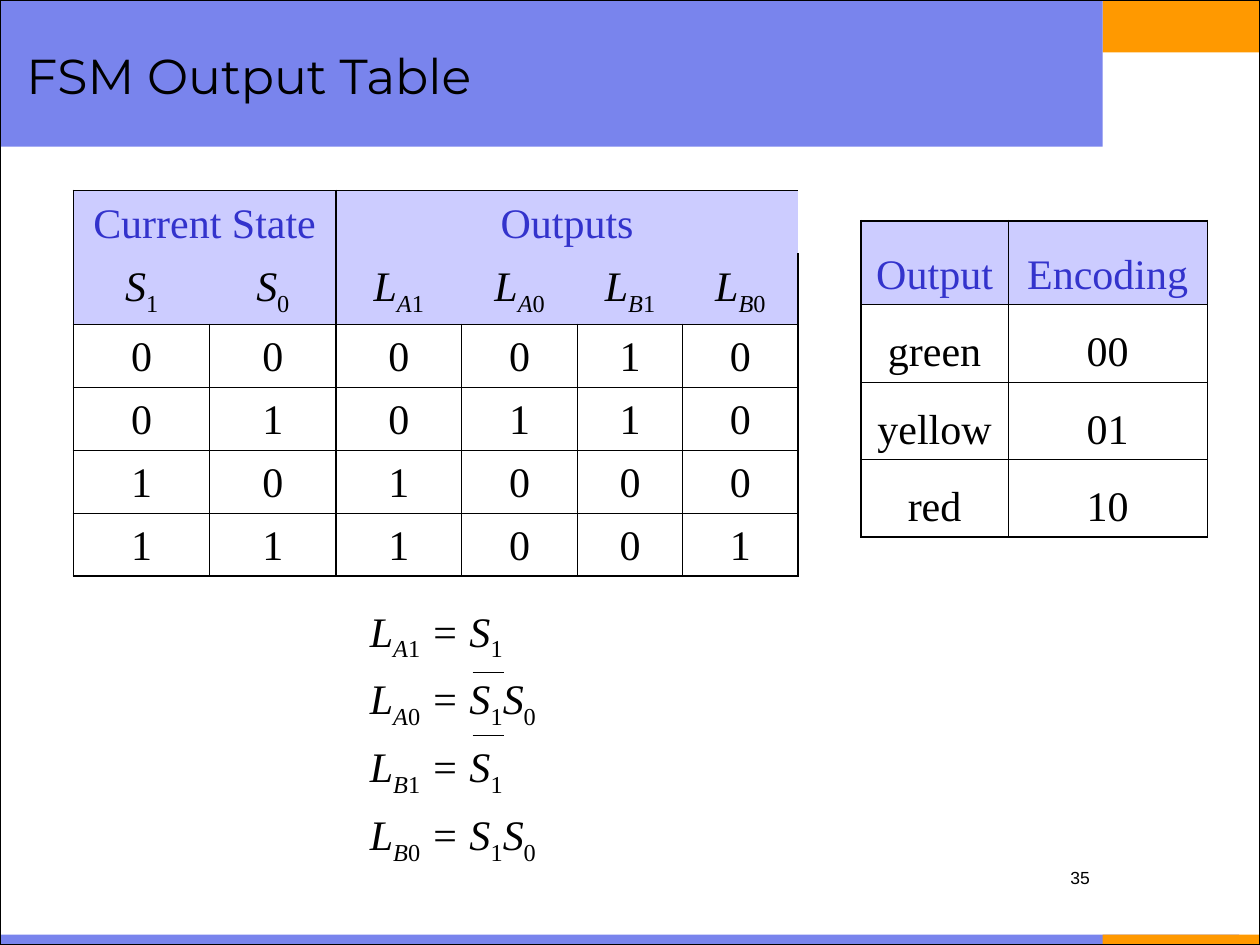
import itertools

import pptx
import pptx.dml.color
import pptx.enum.shapes
import pptx.enum.text
import pptx.oxml
import pptx.oxml.ns
import pptx.util
from pptx.util import Cm

ALIGN = pptx.enum.text.PP_ALIGN
ANCHOR = pptx.enum.text.MSO_ANCHOR
COLORS = {
    "band": "7984ED",
    "accent": "FF9900",
    "header": "CCCCFF",
    "heading": "3333CC",
    "ink": "000000",
}
OUTER, DIVIDER, INNER = 1.08, 1.47, 0.45


def rgb(name):
    return pptx.dml.color.RGBColor.from_string(COLORS[name])


def write(para, text, font="Times New Roman", size=24, color="ink",
          align=ALIGN.LEFT, italic=False):
    """Fill a paragraph; text in braces is subscript, digits stay upright."""
    para.alignment = align
    for index, part in enumerate(text.replace("}", "{").split("{")):
        for digits, letters in itertools.groupby(part, str.isdigit):
            span = para.add_run()
            span.text = "".join(letters)
            span.font.name = font
            span.font.size = pptx.util.Pt(size)
            span.font.color.rgb = rgb(color)
            span.font.italic = italic and not digits
            if index % 2:
                span.font._element.set("baseline", "-25000")


def set_border(cell, side, width):
    """Draw one cell edge (L, R, T or B); width 0 hides it."""
    paint = f'<a:solidFill><a:srgbClr val="{COLORS["ink"]}"/></a:solidFill>'
    cell._tc.get_or_add_tcPr().append(pptx.oxml.parse_xml(
        f'<a:ln{side} {pptx.oxml.ns.nsdecls("a")} w="{int(width * 12700)}">'
        f'{paint if width else "<a:noFill/>"}</a:ln{side}>'))


class SlideBuilder:
    def __init__(self, deck):
        self.page = deck.slides.add_slide(deck.slide_layouts[1])

    def rectangle(self, left, top, width, height, fill=None):
        """Add a filled block, or an outlined frame when no fill is given."""
        box = self.page.shapes.add_shape(
            pptx.enum.shapes.MSO_SHAPE.RECTANGLE,
            Cm(left), Cm(top), Cm(width), Cm(height))
        box.shadow.inherit = False
        if fill:
            box.fill.solid()
            box.fill.fore_color.rgb = rgb(fill)
            box.line.fill.background()
        else:
            box.fill.background()
            box.line.color.rgb = rgb("ink")
            box.line.width = pptx.util.Pt(0.75)

    def place(self, box, left, top, width, height):
        """Move a placeholder and bring it in front of the blocks."""
        box.left, box.top = Cm(left), Cm(top)
        box.width, box.height = Cm(width), Cm(height)
        box.text_frame.auto_size = pptx.enum.text.MSO_AUTO_SIZE.NONE
        box.text_frame.word_wrap = True
        box.element.getparent().append(box.element)

    def title(self, text, *area):
        box = self.page.shapes.title
        self.place(box, *area)
        box.text_frame.vertical_anchor = ANCHOR.MIDDLE
        write(box.text_frame.paragraphs[0], text, font="Montserrat", size=28)

    def equations(self, lines, *area):
        box = self.page.placeholders[1]
        self.place(box, *area)
        frame = box.text_frame
        frame.vertical_anchor = ANCHOR.TOP
        for index, line in enumerate(lines):
            para = frame.add_paragraph() if index else frame.paragraphs[0]
            para.space_before = pptx.util.Pt(6 if index else 0)
            properties = para._p.get_or_add_pPr()
            properties.set("marL", str(Cm(0.95)))
            properties.set("indent", str(-Cm(0.95)))
            properties.append(pptx.oxml.parse_xml(
                f'<a:buNone {pptx.oxml.ns.nsdecls("a")}/>'))
            write(para, line, italic=True)

    def table(self, left, top, widths, heights, rows, header_rows=1, divider=None):
        """Add a ruled table; None in a row extends the cell to its left."""
        last_row, last_column = len(rows), len(widths)
        grid = self.page.shapes.add_table(
            last_row, last_column, Cm(left), Cm(top),
            Cm(sum(widths)), Cm(sum(heights))).table
        grid.first_row = grid.horz_banding = False
        for column, width in zip(grid.columns, widths):
            column.width = Cm(width)
        for row, height in zip(grid.rows, heights):
            row.height = Cm(height)

        def vertical(row, edge):
            if edge in (0, last_column):
                return OUTER
            if edge == divider:
                return DIVIDER
            return 0 if row < header_rows and header_rows > 1 else INNER

        def horizontal(edge):
            if edge in (0, last_row):
                return OUTER
            return 0 if edge < header_rows else INNER

        for r, texts in enumerate(rows):
            for c, text in enumerate(texts):
                cell = grid.cell(r, c)
                set_border(cell, "L", vertical(r, c))
                set_border(cell, "R", vertical(r, c + 1))
                set_border(cell, "T", horizontal(r))
                set_border(cell, "B", horizontal(r + 1))
                if r < header_rows:
                    cell.fill.solid()
                    cell.fill.fore_color.rgb = rgb("header")
                else:
                    cell.fill.background()
                if text is None:
                    continue
                cell.vertical_anchor = ANCHOR.BOTTOM
                write(cell.text_frame.paragraphs[0], text, align=ALIGN.CENTER,
                      color="ink" if r else "heading", italic="{" in text)
                end = c + 1
                while end < last_column and texts[end] is None:
                    end += 1
                if end > c + 1:
                    cell.merge(grid.cell(r, end - 1))

    def overline(self, left, top, width):
        line = self.page.shapes.add_connector(
            pptx.enum.shapes.MSO_CONNECTOR.STRAIGHT,
            Cm(left), Cm(top), Cm(left + width), Cm(top))
        line.line.color.rgb = rgb("ink")
        line.line.width = pptx.util.Pt(0.75)
        line._element.spPr.append(pptx.oxml.parse_xml(
            f'<a:effectLst {pptx.oxml.ns.nsdecls("a")}/>'))

    def page_number(self, text, left, top, width, height):
        box = self.page.shapes.add_textbox(
            Cm(left), Cm(top), Cm(width), Cm(height))
        box.text_frame.word_wrap = True
        write(box.text_frame.paragraphs[0], text, font="Arial", size=10,
              align=ALIGN.RIGHT)


def main():
    deck = pptx.Presentation()
    deck.slide_width, deck.slide_height = Cm(25.4), Cm(19.05)
    slide = SlideBuilder(deck)

    slide.rectangle(22.23, 0, 3.17, 1.06, "accent")
    slide.rectangle(0, 18.84, 24.98, 0.21, "band")
    slide.rectangle(22.23, 18.84, 3.17, 0.21, "accent")
    slide.rectangle(0, 0, 22.23, 2.96, "band")
    slide.rectangle(0, 0, 25.4, 19.05)
    slide.title("FSM Output Table", 0.28, 0.28, 21.59, 2.46)

    bits = ["000010", "010110", "101000", "111001"]
    slide.table(
        1.48, 3.84, [2.75, 2.54, 2.54, 2.33, 2.12, 2.33],
        [1.27, 1.42] + [1.27] * len(bits),
        [["Current State", None, "Outputs", None, None, None],
         ["S{1}", "S{0}", "L{A1}", "L{A0}", "L{B1}", "L{B0}"],
         *map(list, bits)],
        header_rows=2, divider=2)
    slide.table(
        17.36, 4.45, [2.96, 4.02], [1.69, 1.56, 1.56, 1.56],
        [["Output", "Encoding"], ["green", "00"], ["yellow", "01"], ["red", "10"]])

    slide.equations(
        ["L{A1} = S{1}", "L{A0} = S{1}S{0}", "L{B1} = S{1}", "L{B0} = S{1}S{0}"],
        7.2, 12.07, 6.77, 5.72)
    for top in (13.55, 14.82):
        slide.overline(9.53, top, 0.63)
    slide.page_number("35", 16.93, 17.36, 5.29, 1.27)
    deck.save("out.pptx")


if __name__ == "__main__":
    main()
